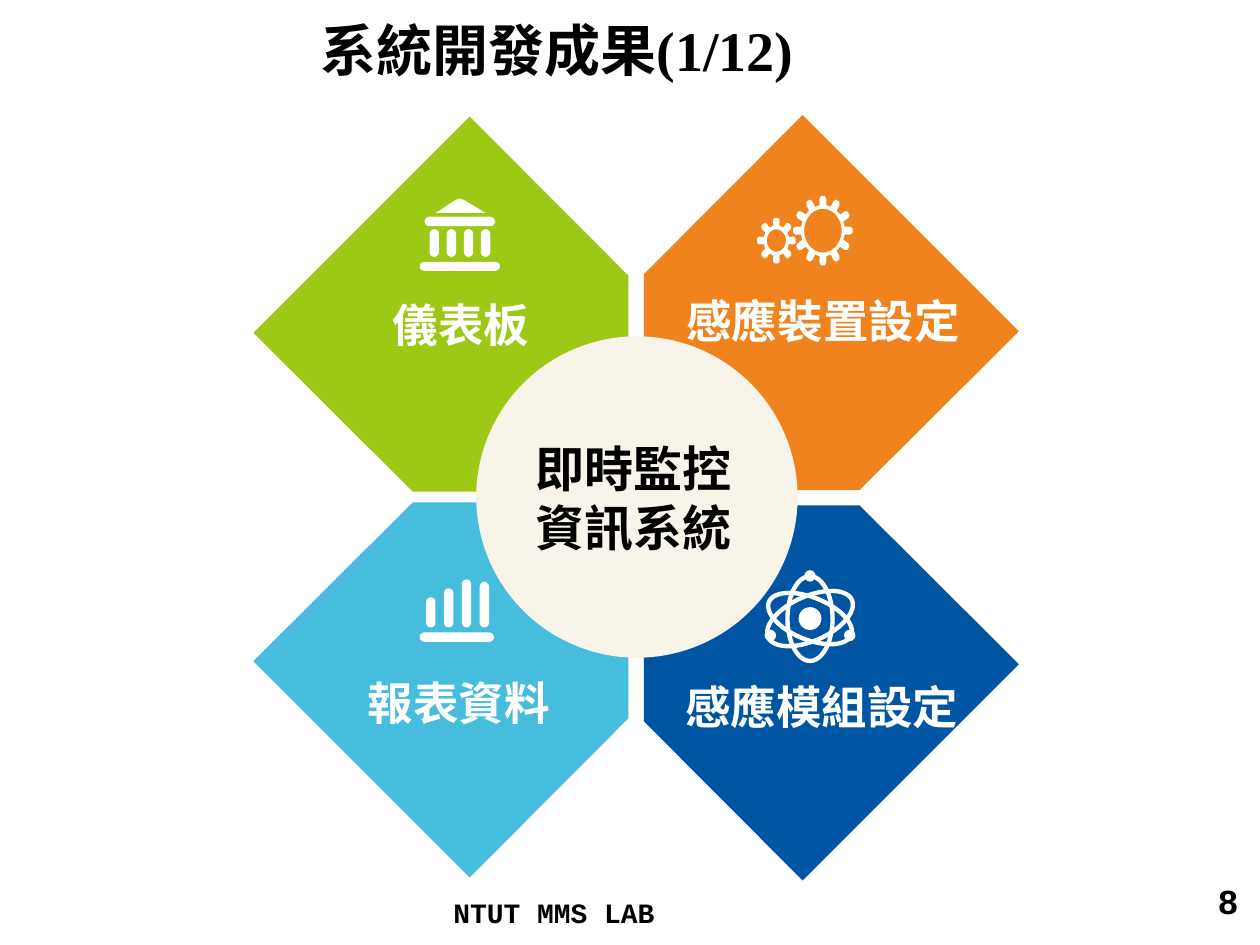
import math
from dataclasses import dataclass

import pptx
import pptx.dml.color
import pptx.enum.shapes
import pptx.enum.text
import pptx.oxml
import pptx.oxml.ns
import pptx.util

Cm = pptx.util.Cm
RGBColor = pptx.dml.color.RGBColor
Shape = pptx.enum.shapes.MSO_SHAPE
Align = pptx.enum.text.PP_ALIGN
Anchor = pptx.enum.text.MSO_ANCHOR

BLACK = RGBColor(0x00, 0x00, 0x00)
WHITE = RGBColor(0xFF, 0xFF, 0xFF)
CREAM = RGBColor(0xF8, 0xF4, 0xEA)
GREEN = RGBColor(0x9D, 0xC8, 0x15)
ORANGE = RGBColor(0xF0, 0x83, 0x1E)
CYAN = RGBColor(0x47, 0xBD, 0xDD)
BLUE = RGBColor(0x00, 0x55, 0xA2)

CJK = "Noto Sans CJK SC"
SERIF = "Times New Roman"
MONO = "Courier New"

# Petal outline in cm, measured outwards from its inner corner
PETAL_OUTLINE = [(0, 0), (0, 4.35), (3.2, 7.56), (7.56, 3.2), (4.35, 0)]


@dataclass
class Petal:
    """Inner corner in cm, outward direction, and the label's box."""
    x: float
    y: float
    side: int
    rise: int
    color: RGBColor
    label: str
    label_x: float
    label_y: float
    label_width: float


@dataclass
class Gear:
    x: float
    y: float
    radius_x: float
    radius_y: float
    root: float
    hole: float
    teeth: int


@dataclass
class Bar:
    x: float
    y: float
    width: float
    height: float


PETALS = [
    Petal(12.98, 9.88, 1, -1, ORANGE, "感應裝置設定", 13.59, 5.79, 6.07),
    Petal(12.67, 10.13, -1, 1, CYAN, "報表資料", 7.16, 13.49, 4.22),
    Petal(12.98, 10.19, 1, 1, BLUE, "感應模組設定", 13.56, 13.56, 6.07),
    Petal(12.67, 9.91, -1, -1, GREEN, "儀表板", 7.67, 5.87, 3.3),
]
GEARS = [Gear(16.59, 4.65, 0.6, 0.7, 0.74, 0.63, 12),
         Gear(15.65, 4.85, 0.39, 0.46, 0.67, 0.49, 8)]
CHART_TOPS = [12.04, 11.86, 11.68, 11.73]
CHART_BARS = [Bar(8.46, 12.75, 1.5, 0.19)] + [
    Bar(8.59 + 0.36 * i, top, 0.19, 12.65 - top) for i, top in enumerate(CHART_TOPS)]
BANK_BARS = [Bar(8.46, 5.28, 1.62, 0.18), Bar(8.56, 4.37, 1.42, 0.19)] + [
    Bar(8.66 + 0.345 * i, 4.62, 0.19, 0.56) for i in range(4)]


def paint(shape, color: RGBColor) -> None:
    shape.shadow.inherit = False
    shape.fill.solid()
    shape.fill.fore_color.rgb = color
    shape.line.fill.background()


def write(box, text: str, size: float, font: str, color: RGBColor = BLACK,
          align=Align.LEFT, wrap: bool = True) -> None:
    """Set one bold paragraph, with the CJK font for East Asian letters."""
    frame = box.text_frame
    frame.text = text
    frame.word_wrap = wrap
    frame.auto_size = pptx.enum.text.MSO_AUTO_SIZE.NONE
    para = frame.paragraphs[0]
    para.alignment = align
    span = para.runs[0]
    span.font.size = pptx.util.Pt(size)
    span.font.name = font
    span.font.bold = True
    span.font.color.rgb = color
    east_asian = pptx.oxml.parse_xml(
        f'<a:ea {pptx.oxml.ns.nsdecls("a")} typeface="{CJK}"/>')
    span.font._element.find(pptx.oxml.ns.qn("a:latin")).addnext(east_asian)


def add_text(page, left: float, top: float, width: float, height: float,
             text: str, size: float, font: str, **style) -> None:
    box = page.shapes.add_textbox(Cm(left), Cm(top), Cm(width), Cm(height))
    write(box, text, size, font, **style)


def add_outline(shapes, contours: list, color: RGBColor) -> None:
    """Fill closed contours given in cm; a contour inside another is a hole."""
    first, *others = [[(Cm(x), Cm(y)) for x, y in points] for points in contours]
    builder = shapes.build_freeform(*first[0])
    builder.add_line_segments(first[1:], close=True)
    for points in others:
        builder.move_to(*points[0])
        builder.add_line_segments(points[1:], close=True)
    paint(builder.convert_to_shape(), color)


def add_ellipse(shapes, x: float, y: float, width: float, height: float, color: RGBColor):
    """Add an ellipse around its centre."""
    ellipse = shapes.add_shape(Shape.OVAL, Cm(x - width / 2), Cm(y - height / 2),
                               Cm(width), Cm(height))
    paint(ellipse, color)
    return ellipse


def add_bars(shapes, bars: list[Bar]) -> None:
    for bar in bars:
        shape = shapes.add_shape(Shape.ROUNDED_RECTANGLE, Cm(bar.x), Cm(bar.y),
                                 Cm(bar.width), Cm(bar.height))
        shape.adjustments[0] = 0.5
        paint(shape, WHITE)


def add_gear(shapes, gear: Gear) -> None:
    def point(turn: float, scale: float) -> tuple[float, float]:
        angle = 2 * math.pi * turn
        return (gear.x + gear.radius_x * scale * math.sin(angle),
                gear.y - gear.radius_y * scale * math.cos(angle))

    tooth = [(-0.29, gear.root), (-0.24, 0.92), (-0.12, 1),
             (0.12, 1), (0.24, 0.92), (0.29, gear.root)]
    rim = [point((i + shift) / gear.teeth, scale)
           for i in range(gear.teeth) for shift, scale in tooth]
    hole = [point(-i / 48, gear.hole) for i in range(48)]
    add_outline(shapes, [rim, hole], WHITE)


def add_atom(shapes, x: float, y: float) -> None:
    for width, height, rotation in [(0.91, 1.71, 0), (1.85, 0.9, -24), (1.79, 0.85, 22)]:
        orbit = add_ellipse(shapes, x, y, width, height, WHITE)
        orbit.fill.background()
        orbit.line.color.rgb = WHITE
        orbit.line.width = pptx.util.Pt(2.5)
        orbit.rotation = rotation
    add_ellipse(shapes, x, y, 0.46, 0.46, WHITE)
    for shift_x, shift_y in [(0.8, 0.34), (-0.8, 0.34), (0, -0.86)]:
        add_ellipse(shapes, x + shift_x, y + shift_y, 0.23, 0.23, WHITE)


def add_icons(page) -> None:
    add_bars(page.shapes.add_group_shape().shapes, CHART_BARS)

    bank = page.shapes.add_group_shape().shapes
    add_bars(bank, BANK_BARS)
    roof = [(8.79, 4.29), (9.17, 4.04), (9.27, 4), (9.37, 4.04), (9.78, 4.29)]
    add_outline(bank, [roof], WHITE)

    add_atom(page.shapes.add_group_shape().shapes, 16.33, 12.47)

    gears = page.shapes.add_group_shape().shapes
    for gear in GEARS:
        add_gear(gears, gear)


def main() -> None:
    deck = pptx.Presentation()
    deck.slide_width, deck.slide_height = Cm(25.4), Cm(19.05)
    page = deck.slides.add_slide(deck.slide_layouts[5])

    title = page.shapes.title
    title.left, title.top, title.width, title.height = Cm(6.2), Cm(0), Cm(19.2), Cm(2)
    write(title, "系統開發成果(1/12)", 32, SERIF)
    title.text_frame.vertical_anchor = Anchor.MIDDLE

    add_text(page, 19.3, 17.6, 5.92, 1.32, "8", 20, MONO, align=Align.RIGHT)
    add_text(page, 8.89, 17.93, 8.23, 0.81, "NTUT MMS LAB", 16, MONO)

    for petal in PETALS:
        outline = [(petal.x + petal.side * x, petal.y + petal.rise * y)
                   for x, y in PETAL_OUTLINE]
        add_outline(page.shapes, [outline], petal.color)

    hub = add_ellipse(page.shapes, 12.84, 10.02, 6.48, 6.48, CREAM)
    write(hub, "即時監控資訊系統", 28, CJK)
    hub.text_frame.vertical_anchor = Anchor.MIDDLE

    add_icons(page)
    for petal in PETALS:
        add_text(page, petal.label_x, petal.label_y, petal.label_width, 1.37,
                 petal.label, 26, CJK, color=WHITE, wrap=False)

    deck.save("out.pptx")


if __name__ == "__main__":
    main()
